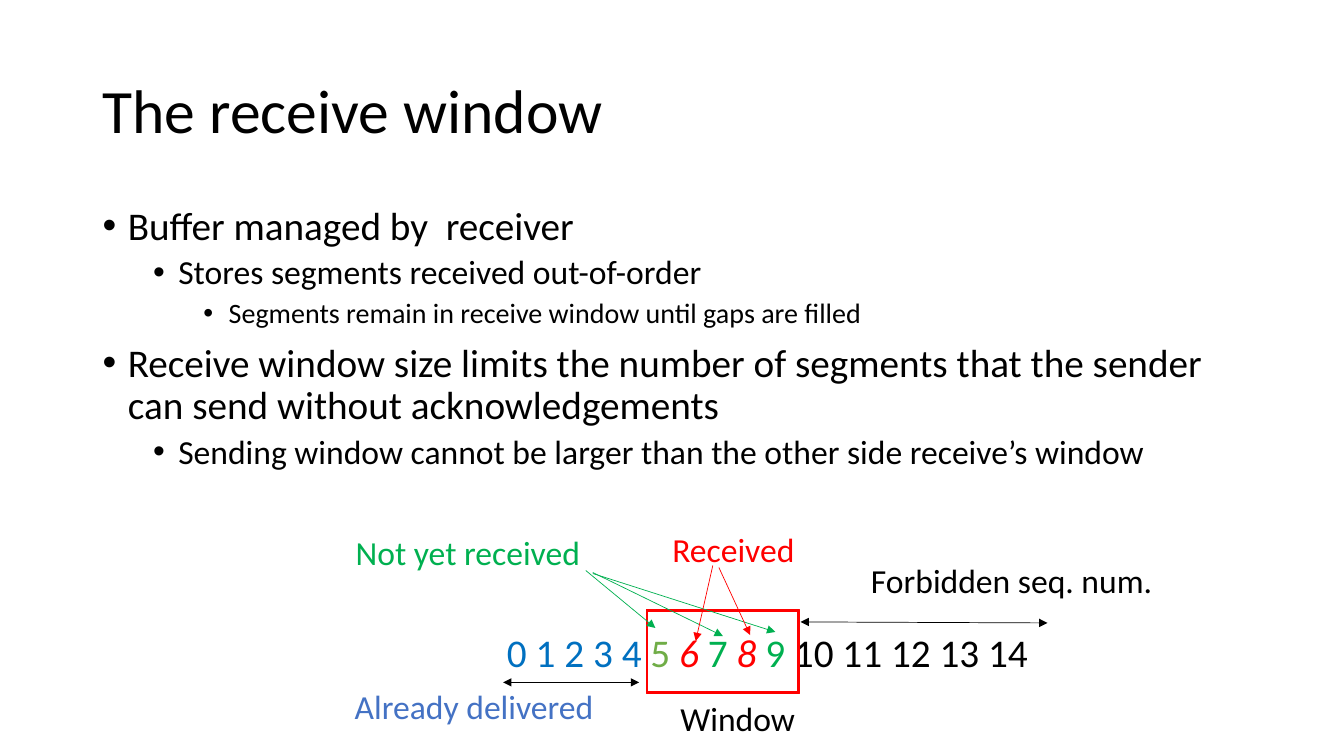
import pptx
import pptx.dml.color
import pptx.enum.shapes
import pptx.enum.text
import pptx.oxml
import pptx.oxml.ns
import pptx.util

PX = 9144  # EMU per px, 100 px to the inch
RGB = pptx.dml.color.RGBColor
BLACK = RGB(0, 0, 0)
RED = RGB(0xFF, 0, 0)
GREEN = RGB(0, 0xB0, 0x50)
LIME = RGB(0x70, 0xAD, 0x47)
BLUE = RGB(0, 0x70, 0xC0)
INDIGO = RGB(0x44, 0x72, 0xC4)

# Size and space before, in points, for each outline level
LEVELS = [(28, 10), (24, 5), (20, 5)]
OUTLINE = [
    (0, "Buffer managed by  receiver"),
    (1, "Stores segments received out-of-order"),
    (2, "Segments remain in receive window until gaps are filled"),
    (0, "Receive window size limits the number of segments that the sender "
        "can send without acknowledgements"),
    (1, "Sending window cannot be larger than the other side receive’s window"),
]
SEQUENCE = [
    ("0 1 2 3 4 ", BLUE, False), ("5 ", LIME, False), ("6 ", RED, True),
    ("7 ", GREEN, False), ("8", RED, True), (" 9 ", GREEN, False),
    ("10 11 12 13 14", BLACK, False),
]
# Text, colour and box inside the diagram
LABELS = [
    ("Forbidden seq. num.", BLACK, (513, 31, 302, 50)),
    ("Window", BLACK, (324, 167, 135, 50)),
    ("Already delivered", INDIGO, (1, 156, 260, 50)),
    ("Not yet received", GREEN, (2, 3, 245, 50)),
    ("Received", RED, (316, 0, 143, 50)),
]
# Colour, start, end and whether the start has a head too
ARROWS = [
    (BLACK, (453, 97), (698, 98), True),
    (BLACK, (158, 157), (293, 157), True),
    (GREEN, (240, 46), (309, 103), False),
    (GREEN, (247, 48), (376, 111), False),
    (GREEN, (247, 49), (428, 107), False),
    (RED, (366, 41), (349, 116), False),
    (RED, (372, 43), (403, 110), False),
]


def text_frame(slide, box, wrap=True):
    frame = slide.shapes.add_textbox(*(n * PX for n in box)).text_frame
    frame.word_wrap = wrap
    return frame


def add_run(paragraph, text, size, color, italic=False):
    run = paragraph.add_run()
    run.text = text
    style = {"name": "Calibri", "size": pptx.util.Pt(size), "italic": italic}
    for key, value in style.items():
        setattr(run.font, key, value)
    run.font.color.rgb = color


def add_title(slide, box):
    frame = text_frame(slide, box)
    frame.vertical_anchor = pptx.enum.text.MSO_ANCHOR.MIDDLE
    title = frame.paragraphs[0]
    title.line_spacing = 0.9
    add_run(title, "The receive window", 44, BLACK)


def add_outline(slide, box):
    frame = text_frame(slide, box)
    for index, (level, text) in enumerate(OUTLINE):
        point = frame.add_paragraph() if index else frame.paragraphs[0]
        size, space = LEVELS[level]
        point.level = level
        point.line_spacing = 0.9
        point.space_before = pptx.util.Pt(space if index else 0)
        # Hanging bullet
        properties = point._p.get_or_add_pPr()
        properties.set("marL", str((25 + 50 * level) * PX))
        properties.set("indent", str(-25 * PX))
        for tag, key, value in (("buFont", "typeface", "Arial"), ("buChar", "char", "•")):
            bullet = pptx.oxml.ns.qn(f"a:{tag}")
            properties.append(properties.makeelement(bullet, {key: value}))
        add_run(point, text, size, BLACK)


def add_arrow(slide, color, start, end, both):
    arrow = slide.shapes.add_connector(
        pptx.enum.shapes.MSO_CONNECTOR.STRAIGHT, *(n * PX for n in (*start, *end)))
    arrow.line.color.rgb = color
    arrow.line.width = pptx.util.Pt(0.5)
    line = arrow.line._get_or_add_ln()
    for tag in ("headEnd", "tailEnd") if both else ("tailEnd",):
        line.append(line.makeelement(pptx.oxml.ns.qn(f"a:{tag}"), {"type": "triangle"}))
    properties = arrow._element.spPr
    properties.append(properties.makeelement(pptx.oxml.ns.qn("a:effectLst"), {}))


def add_window_diagram(slide, box):
    left, top = box[:2]

    # Sequence numbers
    numbers = text_frame(slide, (left + 152, top + 98, 545, 57), wrap=False)
    for text, color, italic in SEQUENCE:
        add_run(numbers.paragraphs[0], text, 28, color, italic)

    # Window frame
    window = slide.shapes.add_shape(
        pptx.enum.shapes.MSO_SHAPE.FRAME,
        *(n * PX for n in (left + 300, top + 85, 152, 83)))
    window.adjustments[0] = 0.018
    window.shadow.inherit = False
    window.fill.solid()
    window.fill.fore_color.rgb = RED
    window.line.color.rgb = RED
    window.line.width = pptx.util.Pt(1)

    # Labels
    for text, color, (x, y, width, height) in LABELS:
        label = text_frame(slide, (left + x, top + y, width, height), wrap=False)
        add_run(label.paragraphs[0], text, 24, color)

    # Ranges and pointers
    for color, start, end, both in ARROWS:
        add_arrow(slide, color, (left + start[0], top + start[1]),
                  (left + end[0], top + end[1]), both)


def main():
    deck = pptx.Presentation()
    deck.slide_width, deck.slide_height = 1333 * PX, 750 * PX
    slide = deck.slides.add_slide(deck.slide_layouts[6])
    add_title(slide, (92, 40, 1150, 145))
    add_outline(slide, (92, 200, 1150, 476))
    add_window_diagram(slide, (341, 520, 815, 217))
    deck.save("out.pptx")


if __name__ == "__main__":
    main()
